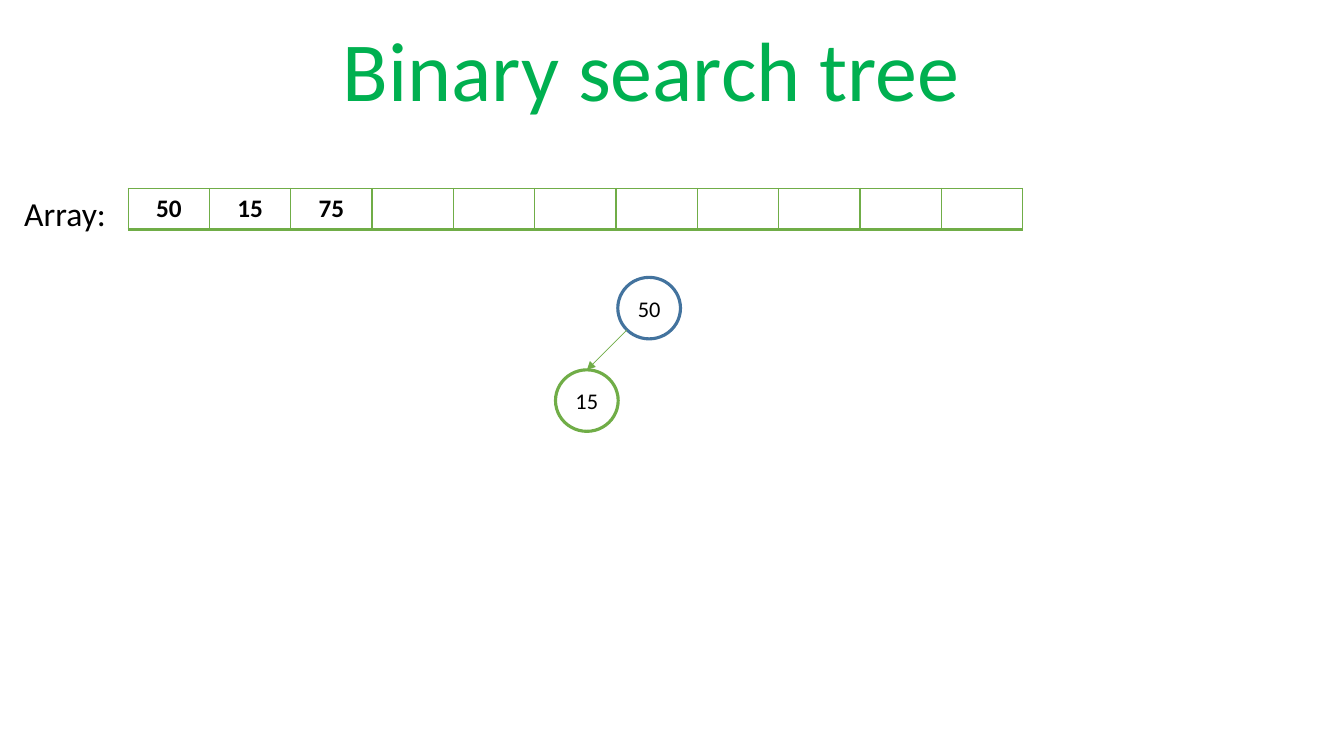
"""Build the binary search tree slide with its array and first two nodes."""
from dataclasses import dataclass
from math import sqrt

from lxml import etree
from pptx import Presentation
from pptx.dml.color import RGBColor
from pptx.enum.shapes import MSO_CONNECTOR, MSO_SHAPE
from pptx.enum.text import MSO_ANCHOR, PP_ALIGN
from pptx.oxml.ns import qn
from pptx.shapes.autoshape import Shape
from pptx.slide import Slide
from pptx.table import _Cell
from pptx.text.text import TextFrame
from pptx.util import Cm, Pt

OVAL = MSO_SHAPE.OVAL
STRAIGHT = MSO_CONNECTOR.STRAIGHT
TOP, MIDDLE, BOTTOM = MSO_ANCHOR.TOP, MSO_ANCHOR.MIDDLE, MSO_ANCHOR.BOTTOM
LEFT, CENTER = PP_ALIGN.LEFT, PP_ALIGN.CENTER

COLORS = {
    "title": "00B050",
    "text": "000000",
    "white": "FFFFFF",
    "blue": "43739E",
    "green": "70AD47",
}
FONT = "Calibri"
ARRAY_VALUES = ["50", "15", "75"]
ARRAY_SIZE = 11
CELL_WIDTH, CELL_HEIGHT = 2.05, 1.03
NODE_WIDTH, NODE_HEIGHT = 1.58, 1.55
BORDERS = {"a:lnL": 1, "a:lnR": 1, "a:lnT": 1, "a:lnB": 2}


@dataclass
class Label:
    text: str
    left: float
    top: float
    width: float
    height: float
    size: int
    color: str
    align: PP_ALIGN
    anchor: MSO_ANCHOR


@dataclass
class Node:
    value: str
    left: float
    top: float
    color: str


LABELS = [
    Label("Binary search tree", 3.71, 0.46, 25.4, 2.69, 60, "title", CENTER, BOTTOM),
    Label("Array:", 0.36, 4.85, 2.8, 1.2, 24, "text", LEFT, TOP),
]
ROOT = Node("50", 15.57, 6.99, "blue")
LEFT_CHILD = Node("15", 14.0, 9.32, "green")


def rgb(color: str) -> RGBColor:
    return RGBColor.from_string(COLORS[color])


def write(frame: TextFrame, text: str, size: int, color: str = "text",
          align: PP_ALIGN = CENTER, bold: bool = False) -> None:
    paragraph = frame.paragraphs[0]
    paragraph.alignment = align
    run = paragraph.add_run()
    run.text = text
    values = {"name": FONT, "size": Pt(size), "bold": bold}
    for name, value in values.items():
        setattr(run.font, name, value)
    run.font.color.rgb = rgb(color)


def add_label(slide: Slide, label: Label) -> None:
    box = slide.shapes.add_textbox(
        Cm(label.left), Cm(label.top), Cm(label.width), Cm(label.height))
    frame = box.text_frame
    values = {"word_wrap": True, "vertical_anchor": label.anchor}
    for name, value in values.items():
        setattr(frame, name, value)
    write(frame, label.text, label.size, label.color, label.align)
    frame.paragraphs[0].line_spacing = 0.9


def add_node(slide: Slide, node: Node) -> Shape:
    shape = slide.shapes.add_shape(
        OVAL, Cm(node.left), Cm(node.top), Cm(NODE_WIDTH), Cm(NODE_HEIGHT))
    shape.shadow.inherit = False
    shape.fill.solid()
    shape.fill.fore_color.rgb = rgb("white")
    shape.line.color.rgb = rgb(node.color)
    shape.line.width = Pt(2.25)
    shape.text_frame.vertical_anchor = MIDDLE
    write(shape.text_frame, node.value, 16)
    return shape


def add_branch(slide: Slide, parent: Shape, child: Shape) -> None:
    inset = (1 - 1 / sqrt(2)) / 2
    connector = slide.shapes.add_connector(
        STRAIGHT,
        parent.left + round(parent.width * inset),
        parent.top + round(parent.height * (1 - inset)),
        child.left + child.width // 2, child.top)
    connector.end_connect(child, 0)
    connector.line.color.rgb = rgb("green")
    connector.line.width = Pt(0.5)
    line = connector.line._get_or_add_ln()
    etree.SubElement(line, qn("a:tailEnd"), type="triangle")
    etree.SubElement(connector._element.spPr, qn("a:effectLst"))


def set_borders(cell: _Cell) -> None:
    properties = cell._tc.get_or_add_tcPr()
    for position, (tag, width) in enumerate(BORDERS.items()):
        line = etree.Element(qn(tag), w=str(Pt(width)))
        fill = etree.SubElement(line, qn("a:solidFill"))
        etree.SubElement(fill, qn("a:srgbClr"), val=COLORS["green"])
        properties.insert(position, line)


def add_array(slide: Slide) -> None:
    table = slide.shapes.add_table(
        1, ARRAY_SIZE, Cm(3.23), Cm(4.75),
        Cm(CELL_WIDTH * ARRAY_SIZE), Cm(CELL_HEIGHT)).table
    for name in ("first_row", "horz_banding"):
        setattr(table, name, False)
    for column in table.columns:
        column.width = Cm(CELL_WIDTH)
    for cell in table.iter_cells():
        cell.fill.background()
        set_borders(cell)
    for cell, value in zip(table.iter_cells(), ARRAY_VALUES):
        write(cell.text_frame, value, 18, bold=True)


def main() -> None:
    presentation = Presentation()
    presentation.slide_width = Cm(33.87)
    presentation.slide_height = Cm(19.05)
    slide = presentation.slides.add_slide(presentation.slide_layouts[6])
    for label in LABELS:
        add_label(slide, label)
    root = add_node(slide, ROOT)
    left_child = add_node(slide, LEFT_CHILD)
    add_branch(slide, root, left_child)
    add_array(slide)
    presentation.save("out.pptx")


if __name__ == "__main__":
    main()
